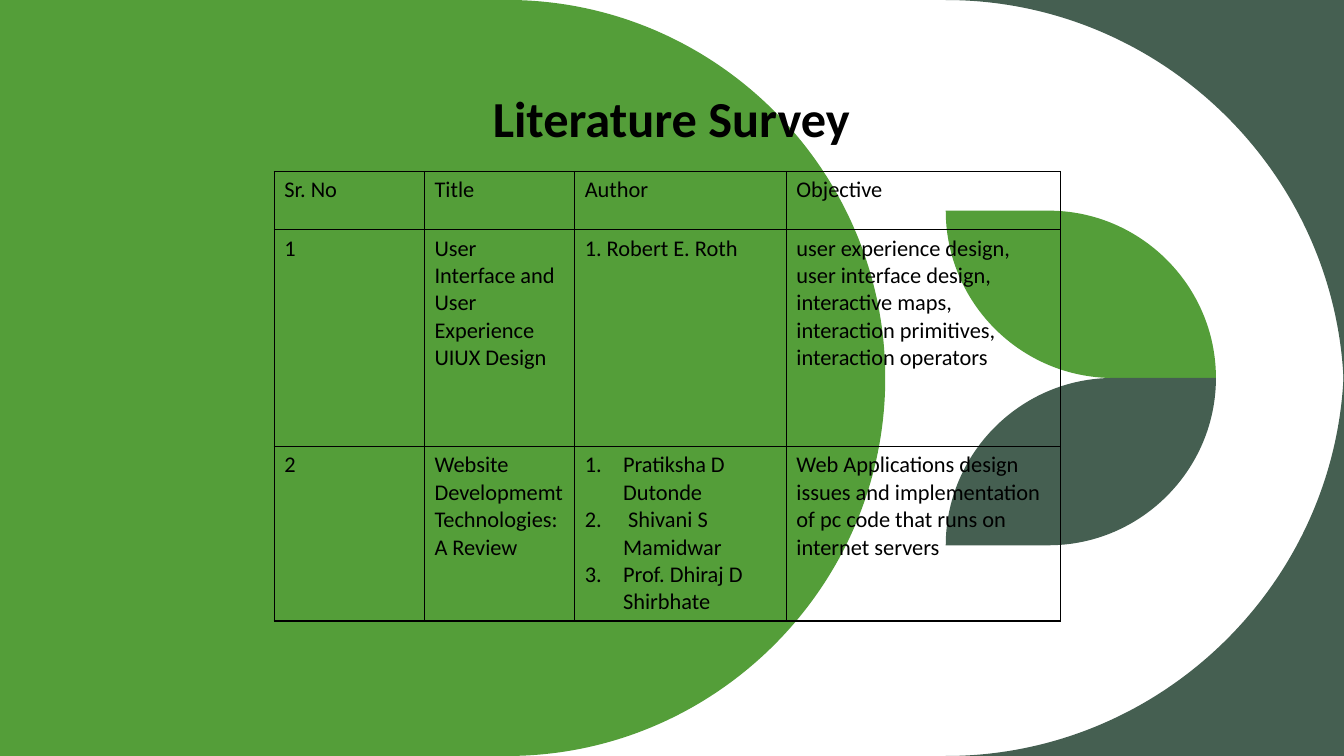
from lxml.etree import SubElement
from pptx import Presentation
from pptx.dml.color import RGBColor
from pptx.enum.text import MSO_ANCHOR, PP_ALIGN
from pptx.oxml import parse_xml
from pptx.oxml.ns import nsdecls, qn
from pptx.util import Inches, Pt

GREEN = RGBColor(0x54, 0x9E, 0x39)
SLATE = RGBColor(0x45, 0x5F, 0x51)
BLACK = RGBColor(0, 0, 0)
WIDTH, HEIGHT = 13.33, 7.5
MIDDLE = HEIGHT / 2
ROUNDNESS = 0.55

COLUMN_WIDTHS = [1.49, 1.49, 2.1, 2.72]
ROW_HEIGHTS = [0.58, 2.15, 1.73]
SURVEY = [
    ["Sr. No", "Title", "Author", "Objective"],
    ["1", "User\nInterface and User Experience UIUX Design", "1. Robert E. Roth",
     "user experience design, user interface design, interactive maps, "
     "interaction primitives, interaction operators"],
    ["2", "Website Developmemt Technologies: A Review",
     "Pratiksha D Dutonde\n Shivani S Mamidwar\nProf. Dhiraj D Shirbhate",
     "Web Applications design issues and implementation of pc code "
     "that runs on internet servers"],
]


def line(x, y):
    return [(x, y)]


def quarter(start, corner, end):
    def toward_corner(point):
        return tuple(p + ROUNDNESS * (c - p) for p, c in zip(point, corner))

    return [toward_corner(start), toward_corner(end), end]


def mirrored(outline):
    return [[(x, HEIGHT - y) for x, y in step] for step in outline]


class SurveySlide:
    font_name = "Calibri"

    def __init__(self, slide):
        self.slide = slide

    def style(self, paragraph, size, bold=False):
        for run in paragraph.runs:
            run.font.name = self.font_name
            run.font.size = Pt(size)
            run.font.bold = bold
            run.font.color.rgb = BLACK

    def panel(self, outline, color):
        points = [(Inches(x), Inches(y)) for step in outline for x, y in step]
        builder = self.slide.shapes.build_freeform(*points[0], scale=1.0)
        builder.add_line_segments(points[1:], close=True)
        shape = builder.convert_to_shape()
        self.bend(shape, outline[1:])
        shape.shadow.inherit = False
        shape.fill.solid()
        shape.fill.fore_color.rgb = color
        shape.line.fill.background()

    def bend(self, shape, steps):
        segments = iter(list(shape._element.iter(qn("a:lnTo"))))
        for step in steps:
            parts = [next(segments) for _ in step]
            if len(parts) == 3:
                curve = parse_xml(f'<a:cubicBezTo {nsdecls("a")}/>')
                parts[0].addprevious(curve)
                for part in parts:
                    curve.append(part[0])
                    part.getparent().remove(part)

    def title(self, text, left, top, width, height):
        heading = self.slide.shapes.add_textbox(
            Inches(left), Inches(top), Inches(width), Inches(height))
        frame = heading.text_frame
        frame.word_wrap = True
        frame.vertical_anchor = MSO_ANCHOR.BOTTOM
        frame.margin_bottom = 0
        frame.text = text
        paragraph = frame.paragraphs[0]
        paragraph.alignment = PP_ALIGN.CENTER
        paragraph.line_spacing = 0.8
        self.style(paragraph, 36, bold=True)

    def table(self, rows, left, top):
        table = self.slide.shapes.add_table(
            len(rows), len(COLUMN_WIDTHS), Inches(left), Inches(top),
            Inches(sum(COLUMN_WIDTHS)), Inches(sum(ROW_HEIGHTS))).table
        table.first_row = False
        table.horz_banding = False
        for column, width in zip(table.columns, COLUMN_WIDTHS):
            column.width = Inches(width)
        for row, height, texts in zip(table.rows, ROW_HEIGHTS, rows):
            row.height = Inches(height)
            for cell, text in zip(row.cells, texts):
                cell.text_frame.text = text
                cell.fill.background()
                self.border(cell)
                for paragraph in cell.text_frame.paragraphs:
                    self.style(paragraph, 16)
        return table

    def border(self, cell):
        properties = cell._tc.get_or_add_tcPr()
        for index, side in enumerate(["lnL", "lnR", "lnT", "lnB"]):
            properties.insert(index, parse_xml(
                f'<a:{side} {nsdecls("a")} w="{Pt(1)}"><a:solidFill>'
                f'<a:srgbClr val="{BLACK}"/></a:solidFill></a:{side}>'))

    def number(self, cell):
        for paragraph in cell.text_frame.paragraphs:
            properties = paragraph._p.get_or_add_pPr()
            properties.set("marL", str(Inches(0.38)))
            properties.set("indent", str(Inches(-0.38)))
            SubElement(properties, qn("a:buAutoNum"), type="arabicPeriod")


def main():
    presentation = Presentation()
    presentation.slide_width = Inches(WIDTH)
    presentation.slide_height = Inches(HEIGHT)
    survey = SurveySlide(presentation.slides.add_slide(presentation.slide_layouts[6]))

    dome = [
        line(0, 0),
        line(5.03, 0),
        quarter((5.03, 0), (8.78, 0), (8.78, MIDDLE)),
        quarter((8.78, MIDDLE), (8.78, HEIGHT), (5.03, HEIGHT)),
        line(0, HEIGHT),
    ]
    leaf = [
        line(9.38, 2.09),
        line(10.4, 2.09),
        quarter((10.4, 2.09), (12.06, 2.09), (12.06, MIDDLE)),
        line(11.04, MIDDLE),
        quarter((11.04, MIDDLE), (9.38, MIDDLE), (9.38, 2.09)),
    ]
    corner = [
        line(9.38, 0),
        quarter((9.38, 0), (WIDTH, 0), (WIDTH, 3.95)),
        line(WIDTH, 0),
    ]
    survey.panel(dome, GREEN)
    survey.panel(leaf, GREEN)
    survey.panel(mirrored(leaf), SLATE)
    survey.panel(corner, SLATE)
    survey.panel(mirrored(corner), SLATE)

    survey.title("Literature Survey", 2.41, 0.6, 8.5, 0.86)
    table = survey.table(SURVEY, 2.72, 1.7)
    survey.number(table.cell(2, 2))
    presentation.save("out.pptx")


if __name__ == "__main__":
    main()
